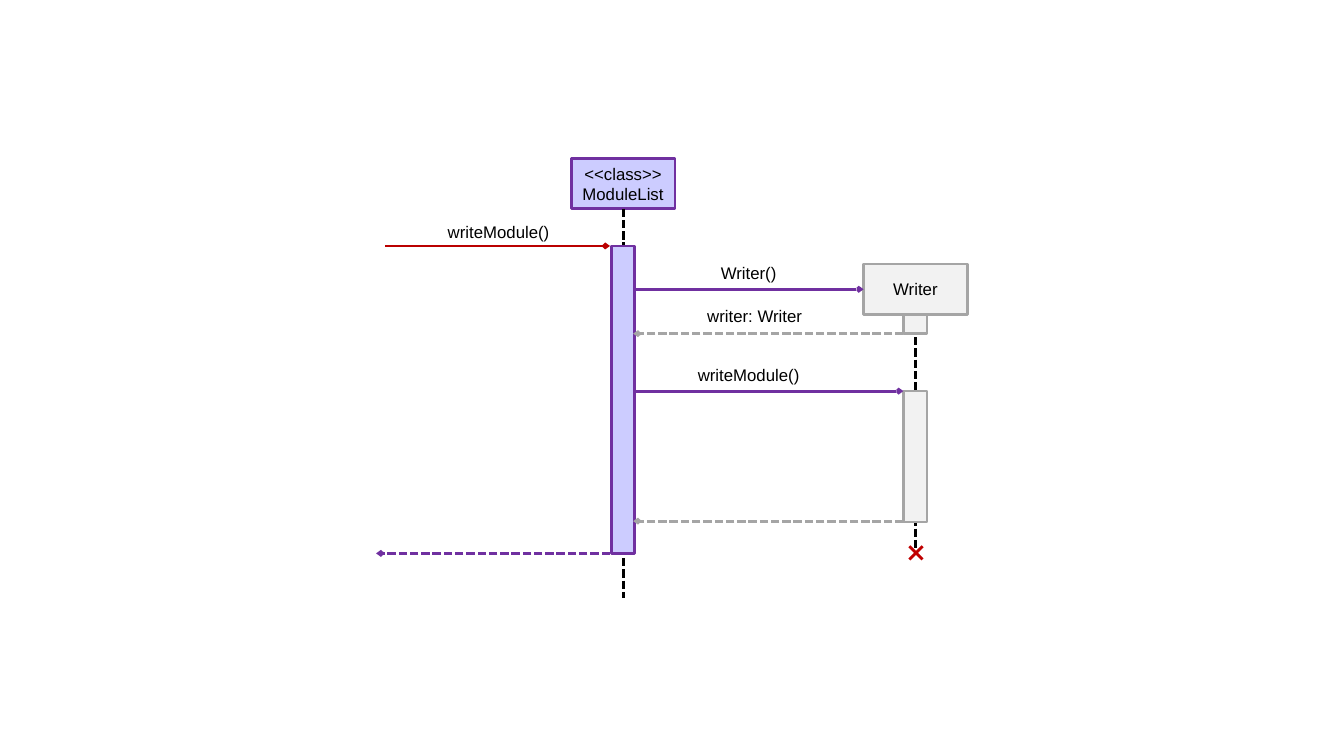
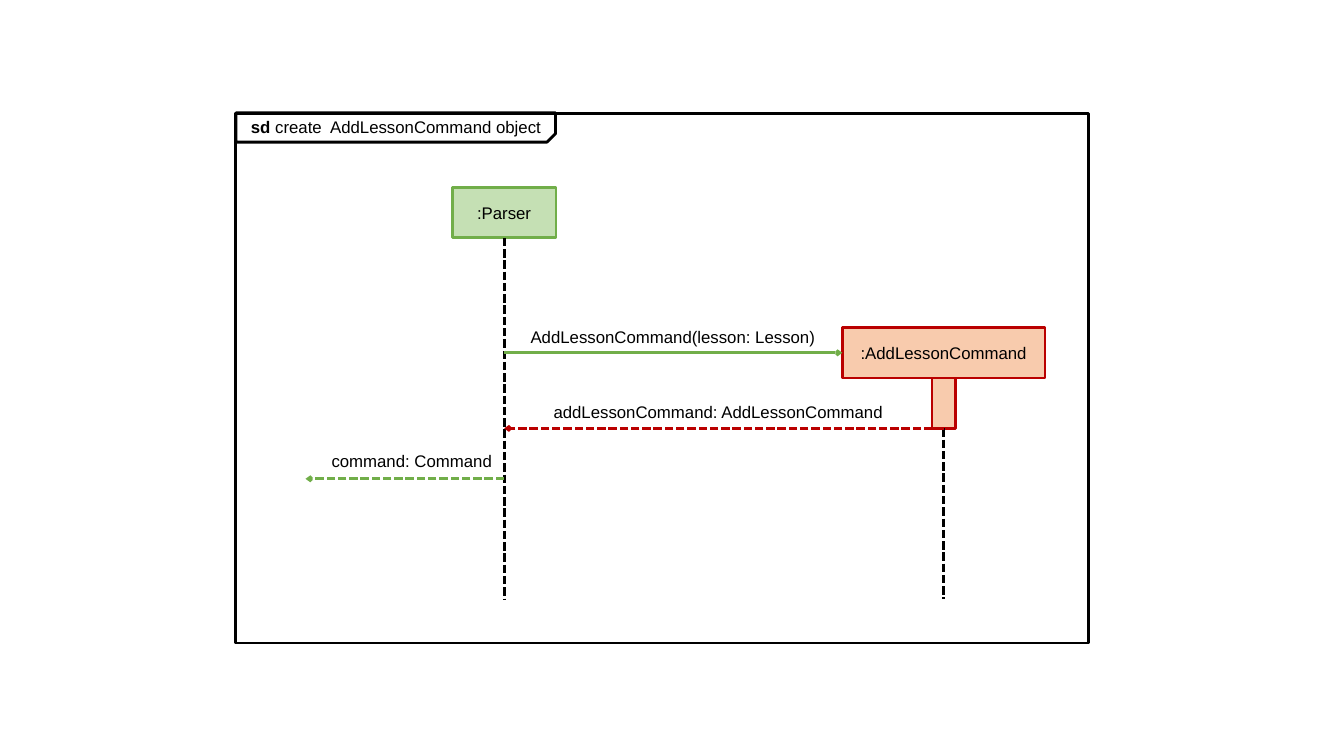
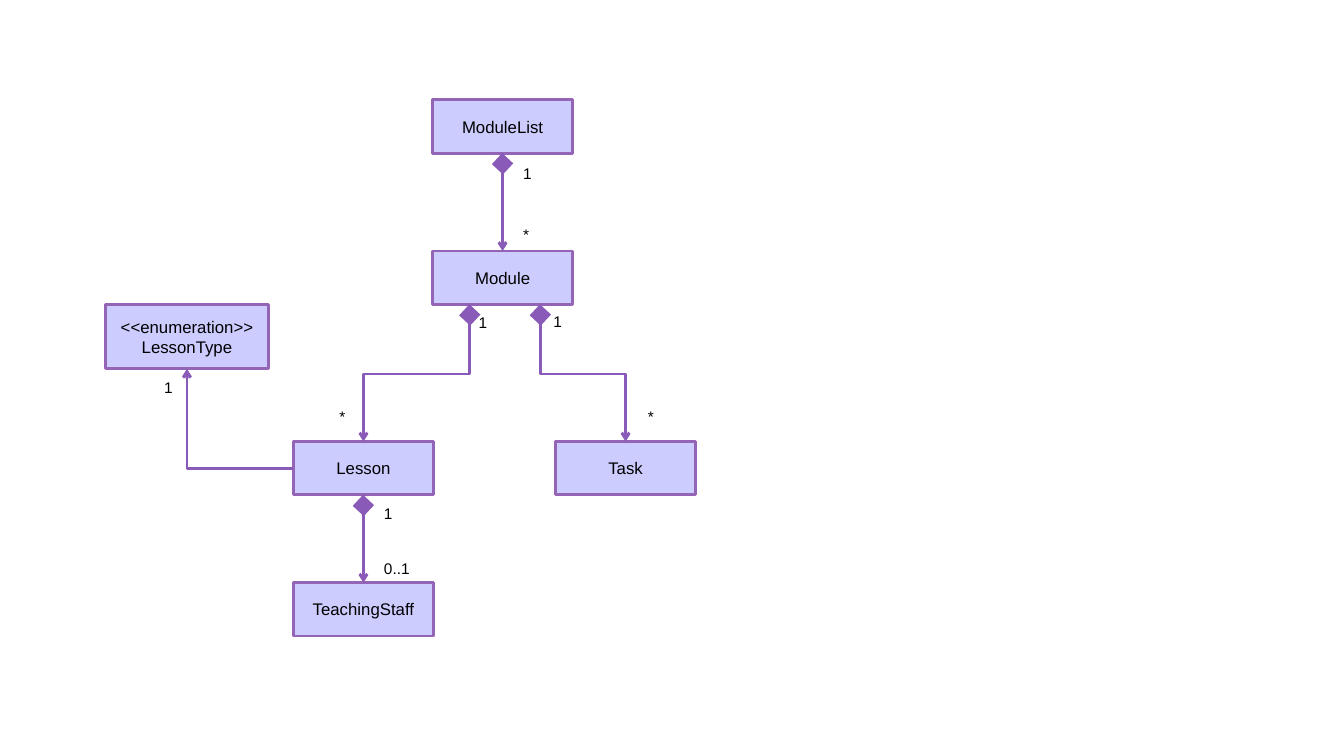
import pptx
import pptx.dml.color
import pptx.enum.dml
import pptx.enum.shapes
import pptx.enum.text
import pptx.oxml
import pptx.oxml.ns
import pptx.util

Inches = pptx.util.Inches
SHAPES = pptx.enum.shapes.MSO_SHAPE
ALIGN = pptx.enum.text.PP_ALIGN
ANCHOR = pptx.enum.text.MSO_ANCHOR
STRAIGHT = pptx.enum.shapes.MSO_CONNECTOR.STRAIGHT
ELBOW = pptx.enum.shapes.MSO_CONNECTOR.ELBOW

FONT = "Arial"
BLACK, PURPLE, GREY, RED, GREEN = "000000", "7030A0", "A5A5A5", "BA0000", "71AE49"
LILAC, PALE_GREY, PALE_GREEN, PEACH = "CCCCFF", "F2F2F2", "C5E0B4", "F8CBAD"
CLASS_EDGE, LINK = "9464B7", "895AB7"
TOP, LEFT, BOTTOM = 0, 1, 2
BAR_WIDTH, HEAD_HEIGHT = 0.23, 0.5

WRITE_MODULE = {
    "heads": [
        (["<<class>>", "ModuleList"], 6.18, 1.57, 1.03, LILAC, PURPLE),
        (["Writer"], 9.08, 2.62, 1.03, PALE_GREY, GREY),
    ],
    "bars": [
        (6.18, 2.44, 3.05, LILAC, PURPLE),
        (9.08, 3.12, 0.19, PALE_GREY, GREY),
        (9.08, 3.88, 1.3, PALE_GREY, GREY),
    ],
    "lifelines": [("head", 0, 5.93), ("head", 1, 5.49)],
    "messages": [
        (3.82, 6.05, 2.44, RED, False, None),
        (6.28, 8.57, 2.87, PURPLE, False, 1),
        (8.96, 6.28, 3.31, GREY, True, None),
        (6.28, 8.96, 3.88, PURPLE, False, None),
        (8.96, 6.28, 5.17, GREY, True, None),
        (6.05, 3.73, 5.49, PURPLE, True, None),
    ],
    "labels": [
        ("writeModule()", 4.15, 2.15, 1.59),
        ("Writer()", 6.63, 2.56, 1.59),
        ("writer: Writer", 6.69, 2.98, 1.59),
        ("writeModule()", 6.63, 3.57, 1.59),
    ],
}

CREATE_COMMAND = {
    "heads": [
        ([":Parser"], 5, 1.86, 1.03, PALE_GREEN, GREEN),
        ([":AddLessonCommand"], 9.36, 3.25, 2.01, PEACH, RED),
    ],
    "bars": [(9.36, 3.75, 0.5, PEACH, RED)],
    "lifelines": [("head", 0, 5.94), ("bar", 0, 5.94)],
    "messages": [
        (5, 8.35, 3.5, GREEN, False, 1),
        (9.36, 5, 4.25, RED, True, None),
        (5, 3.03, 4.75, GREEN, True, None),
    ],
    "labels": [
        ("AddLessonCommand(lesson: Lesson)", 4.88, 3.19, 3.59),
        ("addLessonCommand: AddLessonCommand", 5.33, 3.94, 3.59),
        ("command: Command", 3.03, 4.42, 2.11),
    ],
}

CLASSES = {
    "ModuleList": (["ModuleList"], 4.29, 0.99, 1.39, 0.53),
    "Module": (["Module"], 4.29, 2.49, 1.39, 0.53),
    "Task": (["Task"], 5.51, 4.38, 1.39, 0.53),
    "Lesson": (["Lesson"], 2.91, 4.38, 1.39, 0.53),
    "TeachingStaff": (["TeachingStaff"], 2.91, 5.78, 1.39, 0.53),
    "LessonType": (["<<enumeration>>", "LessonType"], 1.05, 3.02, 1.61, 0.64),
}
STRAIGHT_PARTS = [("ModuleList", "Module"), ("Lesson", "TeachingStaff")]
BENT_PARTS = [("Module", 4.66, "Lesson"), ("Module", 5.36, "Task")]
MULTIPLICITIES = [
    ("1", 5.09, 1.58, 0.33, ALIGN.LEFT),
    ("*", 5.09, 2.18, 0.43, ALIGN.LEFT),
    ("1", 4.65, 3.06, 0.33, ALIGN.LEFT),
    ("*", 3.24, 3.99, 0.31, ALIGN.CENTER),
    ("1", 5.39, 3.05, 0.33, ALIGN.LEFT),
    ("*", 6.24, 3.99, 0.43, ALIGN.CENTER),
    ("1", 3.71, 4.95, 0.33, ALIGN.LEFT),
    ("0..1", 3.71, 5.5, 0.58, ALIGN.LEFT),
    ("1", 1.53, 3.7, 0.33, ALIGN.LEFT),
]


def rgb(value):
    return pptx.dml.color.RGBColor.from_string(value)


def write(frame, paragraphs, size, align):
    frame.word_wrap = True
    for index, runs in enumerate(paragraphs):
        paragraph = frame.add_paragraph() if index else frame.paragraphs[0]
        paragraph.alignment = align
        for text, bold in runs:
            run = paragraph.add_run()
            run.text = text
            run.font.name = FONT
            run.font.size = pptx.util.Pt(size)
            run.font.bold = bold
            run.font.color.rgb = rgb(BLACK)


def add_label(slide, runs, left, top, width, size=12, align=ALIGN.CENTER):
    height = 0.3 if size == 12 else 0.29
    label = slide.shapes.add_textbox(*map(Inches, (left, top, width, height)))
    write(label.text_frame, [runs], size, align)
    label.text_frame.auto_size = pptx.enum.text.MSO_AUTO_SIZE.SHAPE_TO_FIT_TEXT


def add_box(slide, place, fill, edge, lines=(), kind=SHAPES.RECTANGLE):
    box = slide.shapes.add_shape(kind, *map(Inches, place))
    box.shadow.inherit = False
    if fill:
        box.fill.solid()
        box.fill.fore_color.rgb = rgb(fill)
    else:
        box.fill.background()
    if edge:
        box.line.color.rgb = rgb(edge)
        box.line.width = pptx.util.Pt(2)
    else:
        box.line.fill.background()
    if lines:
        box.text_frame.vertical_anchor = ANCHOR.MIDDLE
        write(box.text_frame, [[(line, False)] for line in lines], 12, ALIGN.CENTER)
    return box


def add_line(slide, start, end, color, dashed=False, head=None, kind=STRAIGHT):
    line = slide.shapes.add_connector(kind, *map(Inches, (*start, *end)))
    line.line.color.rgb = rgb(color)
    line.line.width = pptx.util.Pt(2)
    if dashed:
        line.line.dash_style = pptx.enum.dml.MSO_LINE.SQUARE_DOT
    properties = line._element.spPr
    if head:
        arrow = pptx.oxml.parse_xml(
            f'<a:tailEnd {pptx.oxml.ns.nsdecls("a")} type="arrow" w="{head}" len="{head}"/>'
        )
        line.line._get_or_add_ln().append(arrow)
    properties.append(pptx.oxml.parse_xml(f'<a:effectLst {pptx.oxml.ns.nsdecls("a")}/>'))
    return line


def add_vertical_elbow(slide, start, end, color):
    across, down = end[0] - start[0], end[1] - start[1]
    middle_x, middle_y = (start[0] + end[0]) / 2, (start[1] + end[1]) / 2
    side = 1 if across > 0 else -1
    reach, rise = side * down / 2, abs(across) / 2
    elbow = add_line(slide, (middle_x + reach, middle_y - rise),
                     (middle_x - reach, middle_y + rise), color, head="med", kind=ELBOW)
    elbow._element.spPr.xfrm.set("rot", str((180 + side * 90) * 60000))


def draw_sequence(slide, diagram):
    parts = {"head": [], "bar": []}
    bottoms = {"head": [], "bar": []}
    for lines, center, top, width, fill, edge in diagram["heads"]:
        place = (center - width / 2, top, width, HEAD_HEIGHT)
        parts["head"].append(add_box(slide, place, fill, edge, lines))
        bottoms["head"].append((center, top + HEAD_HEIGHT))

    def draw_lifelines(origin):
        for kind, index, end_y in diagram["lifelines"]:
            if kind == origin:
                start = bottoms[kind][index]
                lifeline = add_line(slide, start, (start[0], end_y), BLACK, dashed=True)
                lifeline.begin_connect(parts[kind][index], BOTTOM)

    draw_lifelines("head")
    for center, top, height, fill, edge in diagram["bars"]:
        place = (center - BAR_WIDTH / 2, top, BAR_WIDTH, height)
        parts["bar"].append(add_box(slide, place, fill, edge))
        bottoms["bar"].append((center, top + height))
    draw_lifelines("bar")

    for start_x, end_x, y, color, dashed, created in diagram["messages"]:
        message = add_line(slide, (start_x, y), (end_x, y), color, dashed, "sm")
        if created is not None:
            message.end_connect(parts["head"][created], LEFT)
    for text, left, top, width in diagram["labels"]:
        add_label(slide, [(text, False)], left, top, width)


def draw_write_module(slide):
    draw_sequence(slide, WRITE_MODULE)
    for start_y, end_y in ((5.42, 5.55), (5.55, 5.42)):
        add_line(slide, (9.02, start_y), (9.15, end_y), "C00000")


def draw_create_command(slide):
    add_box(slide, (2.34, 1.13, 8.46, 5.25), None, BLACK)
    frame_tag = add_box(slide, (2.34, 1.12, 3.17, 0.29), None, BLACK,
                        kind=SHAPES.SNIP_1_RECTANGLE)
    frame_tag.adjustments[0] = 0.29
    frame_tag.rotation = 180
    frame_tag._element.spPr.xfrm.set("flipH", "1")
    add_label(slide, [("sd", True), (" create  AddLessonCommand object", False)],
              2.39, 1.11, 3.17, align=ALIGN.LEFT)
    draw_sequence(slide, CREATE_COMMAND)


def draw_classes(slide):
    boxes = {name: add_box(slide, place, LILAC, CLASS_EDGE, lines)
             for name, (lines, *place) in CLASSES.items()}

    def side(name, site):
        left, top, width, height = CLASSES[name][1:]
        return {TOP: (left + width / 2, top), LEFT: (left, top + height / 2),
                BOTTOM: (left + width / 2, top + height)}[site]

    def join(whole, from_site, part, to_site, kind=STRAIGHT):
        link = add_line(slide, side(whole, from_site), side(part, to_site), LINK,
                        head="med", kind=kind)
        link.begin_connect(boxes[whole], from_site)
        link.end_connect(boxes[part], to_site)
        return link

    def add_diamond(x, edge_y):
        diamond = add_box(slide, (x - 0.075, edge_y + 0.03, 0.15, 0.15), LINK, None)
        diamond.rotation = 313

    for whole, part in STRAIGHT_PARTS:
        join(whole, BOTTOM, part, TOP)
        add_diamond(*side(whole, BOTTOM))
    for whole, x, part in BENT_PARTS:
        edge_y = side(whole, BOTTOM)[1]
        add_vertical_elbow(slide, (x, edge_y + 0.02), side(part, TOP), LINK)
        add_diamond(x, edge_y)
    lesson_type = join("Lesson", LEFT, "LessonType", BOTTOM, ELBOW)
    lesson_type._element.spPr.prstGeom.set("prst", "bentConnector2")
    for text, left, top, width, align in MULTIPLICITIES:
        add_label(slide, [(text, False)], left, top, width, 11, align)


def main():
    deck = pptx.Presentation()
    deck.slide_width, deck.slide_height = Inches(13.33), Inches(7.5)
    for draw in (draw_write_module, draw_create_command, draw_classes):
        draw(deck.slides.add_slide(deck.slide_layouts[6]))
    deck.save("out.pptx")


if __name__ == "__main__":
    main()
